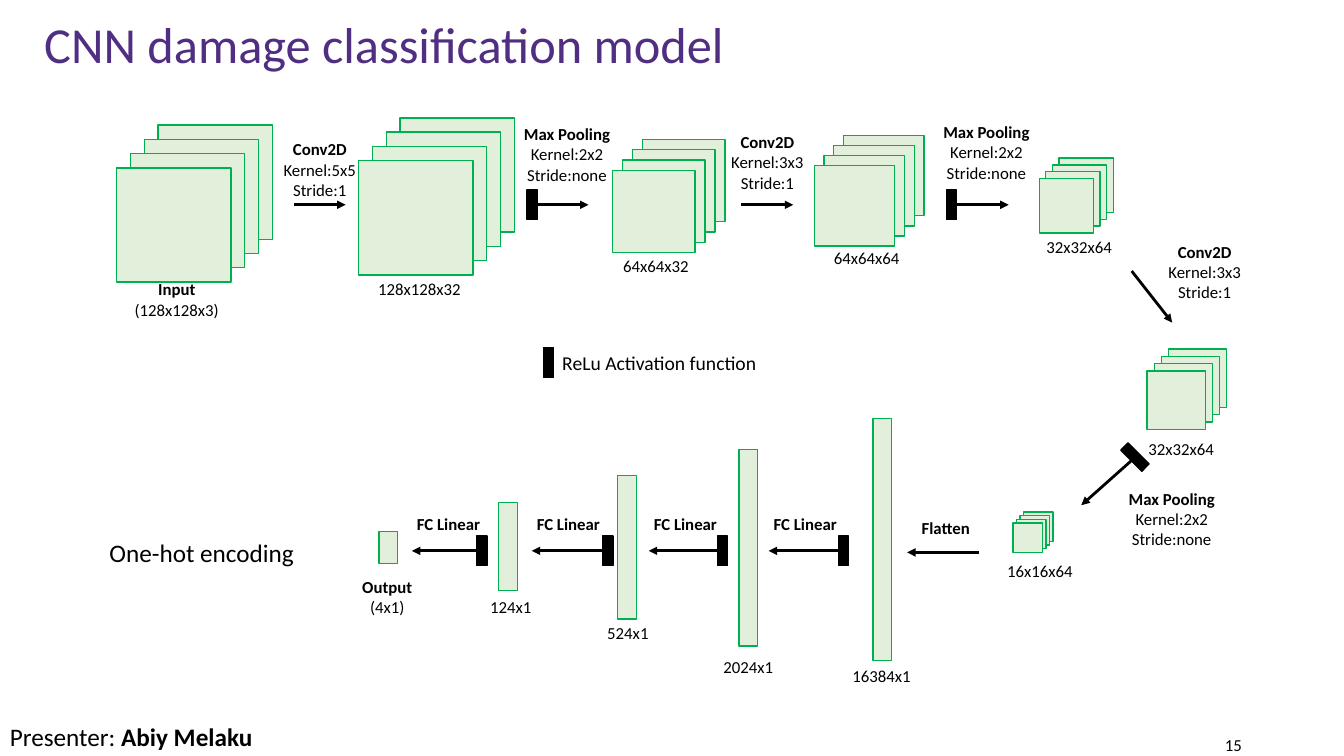
from dataclasses import dataclass
from math import atan2, cos, degrees, radians, sin

from lxml.etree import SubElement
from pptx import Presentation
from pptx.dml.color import RGBColor
from pptx.enum.shapes import MSO_CONNECTOR as Link, MSO_SHAPE as Shape
from pptx.enum.text import MSO_ANCHOR as Anchor, MSO_AUTO_SIZE as Fit, PP_ALIGN as Align
from pptx.oxml.ns import qn
from pptx.util import Cm, Pt


@dataclass(frozen=True)
class Theme:
    font: str = "Calibri"
    purple: RGBColor = RGBColor(0x50, 0x2E, 0x82)
    black: RGBColor = RGBColor(0, 0, 0)
    pale_green: RGBColor = RGBColor(0xE2, 0xEF, 0xDA)
    green: RGBColor = RGBColor(0x00, 0xB0, 0x50)
    title: int = 36
    body: int = 18
    legend: int = 14
    note: int = 12


THEME = Theme()
GATE_WIDTH, GATE_HEIGHT = 0.26, 0.75
LAYER_WIDTH = 0.47

FEATURE_MAPS = [
    ((2.94, 4.23, 2.88), (3.12, 6.91, 2.67), ["Input", "(128x128x3)"]),
    ((9.04, 4.05, 2.88), (9.25, 6.91, 2.64), ["128x128x32"]),
    ((15.44, 4.29, 2.08), (15.44, 6.32, 2.18), ["64x64x32"]),
    ((20.52, 4.17, 2.03), (20.75, 6.12, 2.18), ["64x64x64"]),
    ((26.19, 4.5, 1.37), (26.11, 5.84, 2.18), ["32x32x64"]),
    ((28.91, 9.35, 1.47), (28.68, 10.92, 2.18), ["32x32x64"]),
    ((25.53, 13.18, 0.74), (25.12, 14, 2.18), ["16x16x64"]),
]

DENSE_LAYERS = [
    ((22, 10.54, 6.1), (21.21, 16.64, 2.01), ["16384x1"]),
    ((18.62, 11.33, 4.95), (17.96, 16.43, 1.8), ["2024x1"]),
    ((15.57, 11.99, 3.61), (15.04, 15.57, 1.57), ["524x1"]),
    ((12.57, 12.67, 2.21), (12.09, 14.91, 1.57), ["124x1"]),
    ((9.55, 13.39, 0.81), (8.86, 14.4, 1.8), ["Output", "(4x1)"]),
]

CONV_5 = ["Conv2D", "Kernel:5x5", "Stride:1"]
CONV_3 = ["Conv2D", "Kernel:3x3", "Stride:1"]
POOLING = ["Max Pooling", "Kernel:2x2", "Stride:none"]

PLAIN_STEPS = [
    ((6.88, 3.38, 2.36), CONV_5, (0.53, 1.78), (1.83, 1.78)),
    ((18.16, 3.2, 2.36), CONV_3, (0.51, 1.96), (1.83, 1.96)),
    ((29.18, 5.97, 2.36), CONV_3, (-0.66, 0.86), (0.36, 2.16)),
    ((22.96, 12.93, 1.75), ["Flatten"], (1.7, 0.99), (-0.1, 0.99)),
]

RELU_STEPS = [
    ((12.93, 3, 2.72), POOLING, (0.61, 2.16), (1.9, 2.16)),
    ((23.5, 2.95, 2.72), POOLING, (0.61, 2.21), (1.92, 2.21)),
    ((28.17, 12.19, 2.72), POOLING, (0.34, -0.58), (-0.92, 0.54)),
] + [
    ((left, 12.83, 2.13), ["FC Linear"], (start, 1.05), (0.14, 1.05))
    for left, start in [(19.23, 1.9), (16.21, 1.87), (13.26, 1.93), (10.24, 1.77)]
]


def style(run, size, bold=False, color=THEME.black):
    run.font.name = THEME.font
    run.font.size = Pt(size)
    run.font.bold = bold
    run.font.color.rgb = color


def write(slide, box, lines, size, align=Align.LEFT, bold_first=False, wrap=True):
    frame = slide.shapes.add_textbox(*map(Cm, box)).text_frame
    frame.word_wrap = wrap
    frame.auto_size = Fit.SHAPE_TO_FIT_TEXT
    frame.text = "\n".join(lines)
    for index, paragraph in enumerate(frame.paragraphs):
        paragraph.alignment = align
        style(paragraph.runs[0], size, bold_first and index == 0)
    return frame


def note(slide, place, lines):
    box = (*place, 0.26 + 0.51 * len(lines))
    headed = lines[0][0].isalpha()
    write(slide, box, lines, THEME.note, Align.CENTER, headed, False)


def block(slide, box, fill, line):
    rect = slide.shapes.add_shape(Shape.RECTANGLE, *map(Cm, box))
    rect.shadow.inherit = False
    rect.fill.solid()
    rect.fill.fore_color.rgb = fill
    rect.line.color.rgb = line
    rect.line.width = Pt(1)
    return rect


def relu_gate(slide, x, y, rotation=0):
    box = (x - GATE_WIDTH / 2, y - GATE_HEIGHT / 2, GATE_WIDTH, GATE_HEIGHT)
    gate = block(slide, box, THEME.black, THEME.black)
    gate.rotation = rotation
    return gate


def feature_maps(slide, front, caption, lines):
    left, top, side = front
    for depth in (3, 2, 1, 0):
        box = (left + depth * side * 0.121, top - depth * side * 0.125, side, side)
        block(slide, box, THEME.pale_green, THEME.green)
    note(slide, caption, lines)


def dense_layer(slide, column, caption, lines):
    left, top, height = column
    block(slide, (left, top, LAYER_WIDTH, height), THEME.pale_green, THEME.green)
    note(slide, caption, lines)


def step(slide, place, lines, start, end, gated):
    left, top, _ = place
    x1, y1 = left + start[0], top + start[1]
    x2, y2 = left + end[0], top + end[1]
    arrow = slide.shapes.add_connector(Link.STRAIGHT, *map(Cm, (x1, y1, x2, y2)))
    arrow.line.color.rgb = THEME.black
    arrow.line.width = Pt(2)
    SubElement(arrow.line._get_or_add_ln(), qn("a:tailEnd"), type="triangle")
    SubElement(arrow._element.spPr, qn("a:effectLst"))
    note(slide, place, lines)
    if gated:
        angle = round(degrees(atan2(y2 - y1, x2 - x1)) / 45) * 45
        leftward = x2 < x1
        reach = GATE_WIDTH / 2
        x = x1 - reach * cos(radians(angle))
        y = y1 - reach * sin(radians(angle))
        gate = relu_gate(slide, x, y, (angle - 180 * leftward) % 360)
        arrow.begin_connect(gate, 1 if leftward else 3)
        arrow.begin_x, arrow.begin_y = Cm(x1), Cm(y1)


def heading(slide, box):
    title = slide.shapes.title
    title.left, title.top, title.width, title.height = map(Cm, box)
    frame = title.text_frame
    frame.text = "CNN damage classification model"
    frame.auto_size = Fit.NONE
    frame.word_wrap = True
    frame.vertical_anchor = Anchor.MIDDLE
    paragraph = frame.paragraphs[0]
    paragraph.alignment = Align.LEFT
    paragraph.line_spacing = 0.9
    style(paragraph.runs[0], THEME.title, color=THEME.purple)


def legend(slide, box):
    left, top, width, height = box
    relu_gate(slide, left + GATE_WIDTH / 2, top + height / 2)
    text_box = (left + 0.23, top, width - 0.23, height)
    write(slide, text_box, ["ReLu Activation function"], THEME.legend, wrap=False)


def footer(slide, box):
    left, top, width, height = box
    presenter = write(slide, (left, top, 7.32, height), ["Presenter: "], THEME.body)
    name = presenter.paragraphs[0].add_run()
    name.text = "Abiy Melaku"
    style(name, THEME.body, True)
    number_box = (left + width - 7.62, top + 0.41, 7.62, 0.58)
    number = write(slide, number_box, ["15"], THEME.note, Align.RIGHT)
    number.auto_size = Fit.NONE
    number.vertical_anchor = Anchor.MIDDLE


def main():
    deck = Presentation()
    deck.slide_width, deck.slide_height = Cm(33.87), Cm(19.05)
    slide = deck.slides.add_slide(deck.slide_layouts[5])
    heading(slide, (0.86, 0.48, 32.16, 1.42))
    for maps in FEATURE_MAPS:
        feature_maps(slide, *maps)
    for layer in DENSE_LAYERS:
        dense_layer(slide, *layer)
    for steps, gated in ((PLAIN_STEPS, False), (RELU_STEPS, True)):
        for parts in steps:
            step(slide, *parts, gated)
    legend(slide, (13.69, 8.71, 5.69, 0.86))
    write(slide, (2.51, 13.41, 5.54, 1.02), ["One-hot encoding"], THEME.body)
    footer(slide, (0, 18.06, 31.55, 1.02))
    deck.save("out.pptx")


if __name__ == "__main__":
    main()
